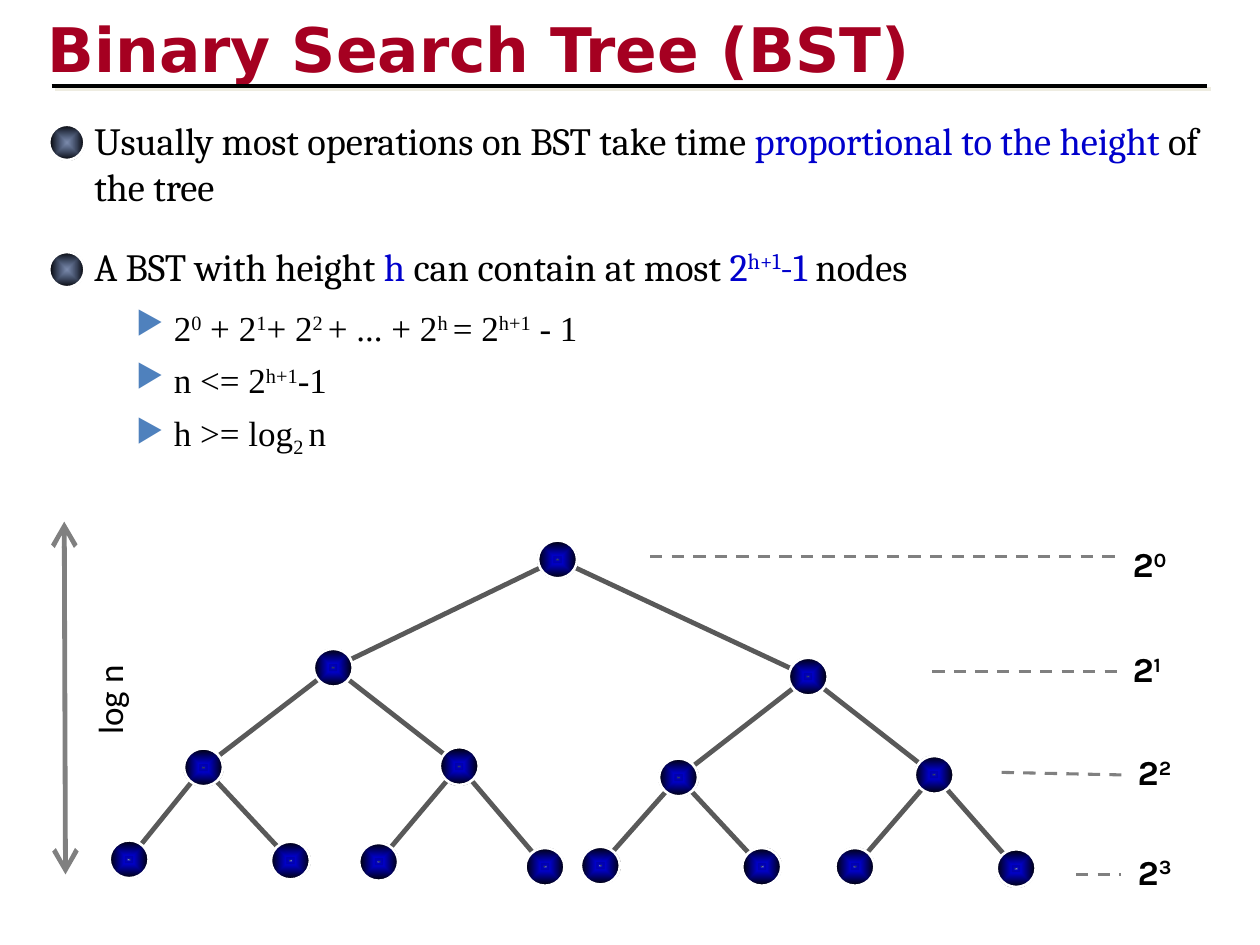
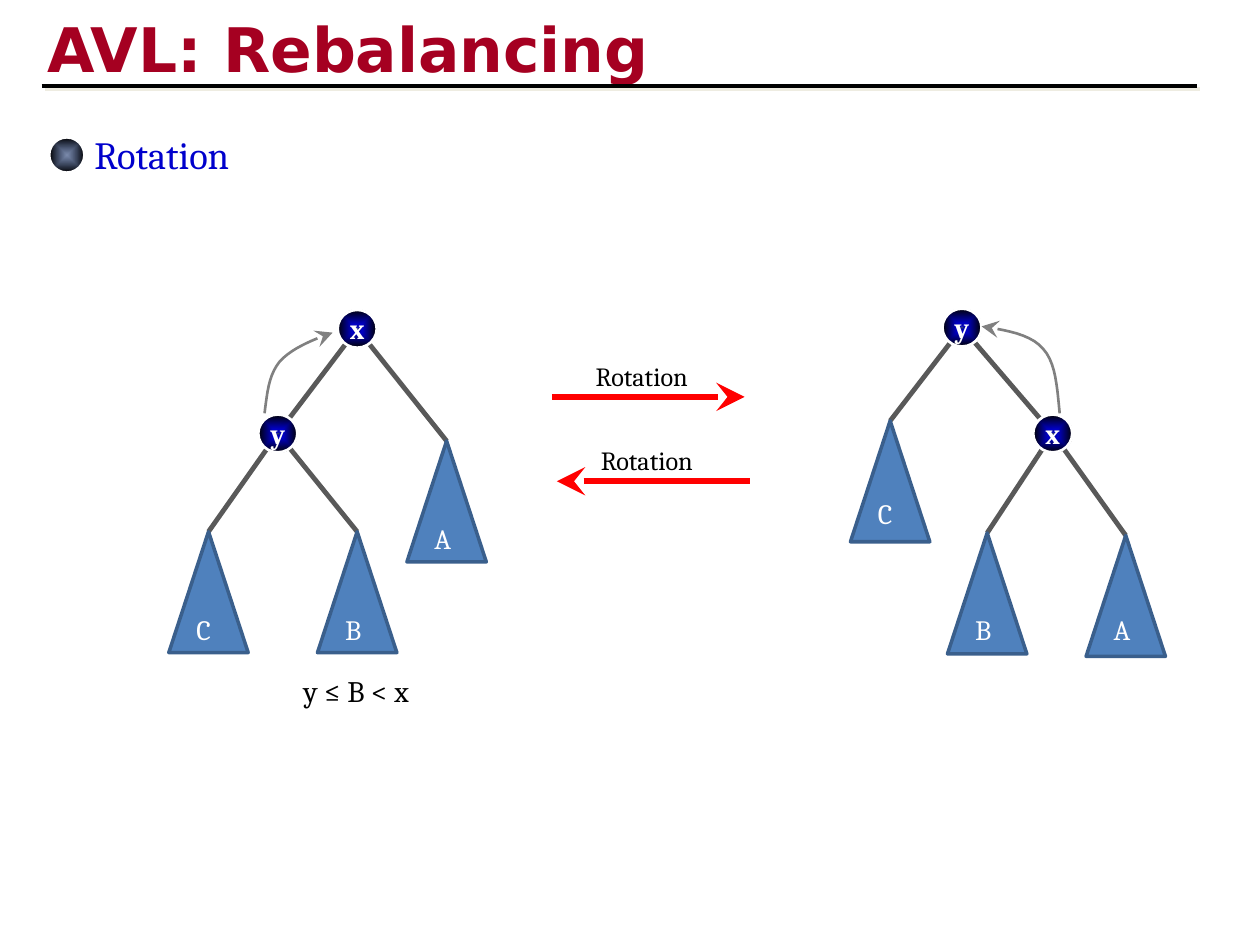
from dataclasses import dataclass
from typing import Optional

from pptx import Presentation
from pptx.dml.color import RGBColor
from pptx.enum.dml import MSO_LINE
from pptx.enum.shapes import MSO_CONNECTOR, MSO_SHAPE
from pptx.enum.text import MSO_ANCHOR, MSO_AUTO_SIZE, PP_ALIGN
from pptx.oxml import parse_xml
from pptx.oxml.ns import nsdecls, qn
from pptx.util import Inches, Pt

BLACK = RGBColor(0x00, 0x00, 0x00)
WHITE = RGBColor(0xFF, 0xFF, 0xFF)
CRIMSON = RGBColor(0xA5, 0x00, 0x21)
BLUE = RGBColor(0x00, 0x00, 0xCC)
NAVY = RGBColor(0x00, 0x20, 0x60)
STEEL = RGBColor(0x4F, 0x81, 0xBD)
STEEL_EDGE = RGBColor(0x3A, 0x5F, 0x8C)
RED = RGBColor(0xFF, 0x00, 0x00)
GRAY = RGBColor(0x80, 0x80, 0x80)
EDGE_GRAY = RGBColor(0x59, 0x59, 0x59)
SHADOW = RGBColor(0xEE, 0xEC, 0xE1)

# Gradient stops: position, colour, opacity in percent
BULLET_STOPS = [(0, NAVY, 51), (100, BLACK, 100)]
NODE_STOPS = [
    (0, BLUE, 100), (0, NAVY, 25), (6, RGBColor(0x00, 0x00, 0xC0), 100),
    (10, RGBColor(0x00, 0x00, 0xB7), 100), (16, RGBColor(0x00, 0x00, 0xAB), 100),
    (21, BLUE, 100), (100, BLACK, 100),
]
NODE_WIDTH, NODE_HEIGHT = 0.31, 0.3
TRIANGLE_WIDTH, TRIANGLE_HEIGHT = 0.63, 0.96

Point = tuple[float, float]


@dataclass
class Piece:
    text: str
    color: Optional[RGBColor] = None
    baseline: int = 0


@dataclass
class TextStyle:
    font: str
    size: float
    color: RGBColor = BLACK
    bold: bool = False


@dataclass
class Node:
    left: float
    top: float
    label: str = ""

    @property
    def anchor(self) -> Point:
        return self.left + NODE_WIDTH / 2, self.top + NODE_HEIGHT / 2


@dataclass
class Subtree:
    left: float
    top: float
    label: str
    label_drop: float = 0.59

    @property
    def anchor(self) -> Point:
        return self.left + TRIANGLE_WIDTH / 2, self.top


@dataclass
class Level:
    start: Point
    end: Point
    label_at: Point


TITLE = TextStyle("DejaVu Sans", 35.1, CRIMSON, True)
BODY = TextStyle("Cambria", 22)
FORMULA = TextStyle("Times New Roman", 20)
LEVEL = TextStyle("Karla", 20, bold=True)
HEIGHT = TextStyle("Calibri", 20)
NODE_LABEL = TextStyle("Cambria", 16, WHITE, True)
SUBTREE_LABEL = TextStyle("Cambria", 16, WHITE)
ARROW_LABEL = TextStyle("Cambria", 15)
CONDITION = TextStyle("Cambria", 17)


def sup(text: str, color: Optional[RGBColor] = None) -> Piece:
    return Piece(text, color, 30)


def effects(shadow: bool = False):
    inner = (f'<a:outerShdw dist="35560" dir="2700000" algn="ctr" rotWithShape="0">'
             f'<a:srgbClr val="{SHADOW}"/></a:outerShdw>') if shadow else ""
    return parse_xml(f'<a:effectLst {nsdecls("a")}>{inner}</a:effectLst>')


def write(paragraph, pieces: list[Piece], style: TextStyle) -> None:
    for piece in pieces:
        run = paragraph.add_run()
        run.text = piece.text
        run.font.name = style.font
        run.font.size = Pt(style.size)
        run.font.bold = style.bold
        run.font.color.rgb = piece.color or style.color
        if piece.baseline:
            run._r.get_or_add_rPr().set("baseline", str(piece.baseline * 1000))


def add_text(slide, left: float, top: float, width: float, height: float,
             lines: list[list[Piece]], style: TextStyle):
    box = slide.shapes.add_textbox(Inches(left), Inches(top), Inches(width), Inches(height))
    frame = box.text_frame
    frame.word_wrap = True
    frame.auto_size = MSO_AUTO_SIZE.SHAPE_TO_FIT_TEXT
    for index, pieces in enumerate(lines):
        paragraph = frame.add_paragraph() if index else frame.paragraphs[0]
        write(paragraph, pieces, style)
    return box


def add_arrowheads(shape, head: str = "", tail: str = "") -> None:
    line = shape.line._get_or_add_ln()
    for tag, kind in (("headEnd", head), ("tailEnd", tail)):
        if kind:
            line.append(parse_xml(f'<a:{tag} {nsdecls("a")} type="{kind}" w="lg" len="lg"/>'))


def add_line(slide, start: Point, end: Point, color: RGBColor, width: float,
             dashed: bool = False, shadow: bool = False, head: str = "", tail: str = "") -> None:
    connector = slide.shapes.add_connector(
        MSO_CONNECTOR.STRAIGHT, *(Inches(value) for value in (*start, *end)))
    connector.line.color.rgb = color
    connector.line.width = Pt(width)
    if dashed:
        connector.line.dash_style = MSO_LINE.DASH
    add_arrowheads(connector, head, tail)
    connector._element.spPr.append(effects(shadow))


def add_ball(slide, left: float, top: float, width: float, height: float, stops: list):
    shape = slide.shapes.add_shape(
        MSO_SHAPE.OVAL, Inches(left), Inches(top), Inches(width), Inches(height))
    stop_xml = "".join(
        f'<a:gs pos="{position * 1000}"><a:srgbClr val="{color}">'
        f'<a:alpha val="{opacity * 1000}"/></a:srgbClr></a:gs>'
        for position, color, opacity in stops)
    gradient = parse_xml(
        f'<a:gradFill {nsdecls("a")} rotWithShape="1"><a:gsLst>{stop_xml}</a:gsLst>'
        '<a:path path="shape"><a:fillToRect l="50000" t="50000" r="50000" b="50000"/>'
        '</a:path></a:gradFill>')
    shape._element.spPr.find(qn("a:prstGeom")).addnext(gradient)
    shape.line.color.rgb = WHITE
    shape.line.width = Pt(1.5)
    shape.shadow.inherit = False
    return shape


def add_node(slide, node: Node) -> None:
    shape = add_ball(slide, node.left, node.top, NODE_WIDTH, NODE_HEIGHT, NODE_STOPS)
    if node.label:
        frame = shape.text_frame
        frame.word_wrap = False
        frame.vertical_anchor = MSO_ANCHOR.MIDDLE
        frame.paragraphs[0].alignment = PP_ALIGN.CENTER
        write(frame.paragraphs[0], [Piece(node.label)], NODE_LABEL)


def add_subtree(slide, subtree: Subtree) -> None:
    shape = slide.shapes.add_shape(
        MSO_SHAPE.ISOSCELES_TRIANGLE, Inches(subtree.left), Inches(subtree.top),
        Inches(TRIANGLE_WIDTH), Inches(TRIANGLE_HEIGHT))
    shape.fill.solid()
    shape.fill.fore_color.rgb = STEEL
    shape.line.color.rgb = STEEL_EDGE
    shape.line.width = Pt(2)
    shape.shadow.inherit = False
    add_text(slide, subtree.left + 0.12, subtree.top + subtree.label_drop, 0.5, 0.37,
             [[Piece(subtree.label)]], SUBTREE_LABEL)


def add_tree(slide, items: list, parents: list[int]) -> None:
    """Draw the edges first, so that nodes and subtrees cover their ends."""
    for item, parent in zip(items[1:], parents):
        add_line(slide, items[parent].anchor, item.anchor, EDGE_GRAY, 2.75)
    for item in items:
        if isinstance(item, Node):
            add_node(slide, item)
        else:
            add_subtree(slide, item)


def add_curve(slide, start: Point, segments: list[tuple[Point, Point, Point]]) -> None:
    steps = 10
    points, current = [], start
    for first, second, end in segments:
        for step in range(1, steps + 1):
            t = step / steps
            weights = ((1 - t) ** 3, 3 * t * (1 - t) ** 2, 3 * t * t * (1 - t), t ** 3)
            corners = (current, first, second, end)
            points.append(tuple(
                Inches(sum(w * corner[axis] for w, corner in zip(weights, corners)))
                for axis in (0, 1)))
        current = end
    builder = slide.shapes.build_freeform(Inches(start[0]), Inches(start[1]))
    builder.add_line_segments(points, close=False)
    shape = builder.convert_to_shape()
    shape.fill.background()
    shape.line.color.rgb = GRAY
    shape.line.width = Pt(1.5)
    shape.shadow.inherit = False
    add_arrowheads(shape, tail="stealth")


def add_header(slide, title: str, rule_left: float) -> None:
    box = add_text(slide, 0.28, 0.01, 8.5, 0.67, [[Piece(title)]], TITLE)
    box.text_frame.auto_size = MSO_AUTO_SIZE.NONE
    box.text_frame.margin_top = Inches(0.08)
    properties = box.text_frame.paragraphs[0].runs[0]._r.rPr
    properties.find(qn("a:solidFill")).addnext(effects(shadow=True))
    add_line(slide, (rule_left, 0.68), (rule_left + 9.17, 0.68), BLACK, 2.25, shadow=True)


def add_point(slide, ball_top: float, text_top: float, height: float,
              pieces: list[Piece]) -> None:
    add_ball(slide, 0.39, ball_top, 0.28, 0.28, BULLET_STOPS)
    add_text(slide, 0.65, text_top, 9.07, height, [pieces], BODY)


def add_formulas(slide) -> None:
    box = add_text(slide, 0.98, 2.38, 8.74, 1.28, [
        [Piece(" 2"), sup("0"), Piece(" + 2"), sup("1"), Piece("+ 2"), sup("2 "),
         Piece("+ ... + 2"), sup("h "), Piece("= 2"), sup("h+1"), Piece(" - 1")],
        [Piece(" n <= 2"), sup("h+1"), Piece("-1")],
        [Piece(" h >= log"), Piece("2 ", baseline=-25), Piece("n")],
    ], FORMULA)
    for paragraph in box.text_frame.paragraphs:
        paragraph.space_before = Pt(6)
        properties = paragraph._p.get_or_add_pPr()
        for bullet in (f'<a:buClr {nsdecls("a")}><a:srgbClr val="{STEEL}"/></a:buClr>',
                       f'<a:buSzPct {nsdecls("a")} val="90000"/>',
                       f'<a:buChar {nsdecls("a")} char="▶"/>'):
            properties.append(parse_xml(bullet))


def build_search_tree(slide) -> None:
    add_header(slide, "Binary Search Tree (BST)", 0.41)
    add_point(slide, 0.99, 0.88, 0.84, [
        Piece("Usually most operations on BST take time "),
        Piece("proportional to the height ", BLUE), Piece("of the tree")])
    add_point(slide, 2, 1.88, 0.47, [
        Piece("A BST with height "), Piece("h", BLUE), Piece(" can contain at most "),
        Piece("2", BLUE), sup("h+1", BLUE), Piece("-1", BLUE), Piece(" nodes")])
    add_formulas(slide)

    # Node count of each level
    levels = [
        Level((5.16, 4.42), (8.9, 4.42), (8.89, 4.26)),
        Level((7.4, 5.33), (8.89, 5.33), (8.89, 5.09)),
        Level((7.95, 6.13), (8.9, 6.15), (8.93, 5.91)),
        Level((8.54, 6.94), (8.9, 6.94), (8.93, 6.7)),
    ]
    for depth, level in enumerate(levels):
        add_line(slide, level.start, level.end, GRAY, 1.75, dashed=True)
        add_text(slide, *level.label_at, 1.07, 0.44, [[Piece("2"), sup(str(depth))]], LEVEL)

    # Height of the tree
    height_label = add_text(slide, 0.42, 5.26, 0.9, 0.44, [[Piece("log n")]], HEIGHT)
    height_label.rotation = 270
    add_line(slide, (0.51, 4.14), (0.52, 6.94), GRAY, 2.75, head="arrow", tail="arrow")

    # Complete tree, level by level: the parent of node i is (i - 1) // 2
    places = [
        (4.27, 4.29),
        (2.49, 5.15), (6.26, 5.22),
        (1.46, 5.94), (3.49, 5.93), (5.23, 6.02), (7.26, 6),
        (0.87, 6.67), (2.15, 6.68), (2.85, 6.69), (4.17, 6.73),
        (4.61, 6.72), (5.89, 6.73), (6.63, 6.73), (7.91, 6.74),
    ]
    nodes = [Node(left, top) for left, top in places]
    add_tree(slide, nodes, [(index - 1) // 2 for index in range(1, len(nodes))])


def build_rotation(slide) -> None:
    add_header(slide, "AVL: Rebalancing", 0.33)
    add_point(slide, 1.09, 0.99, 0.47, [Piece("Rotation", BLUE)])

    # Trees before and after the rotation
    add_tree(slide, [Node(2.68, 2.46, "x"), Node(2.05, 3.29, "y"), Subtree(3.23, 3.5, "A"),
                     Subtree(1.34, 4.22, "C"), Subtree(2.52, 4.22, "B")], [0, 0, 1, 1])
    add_tree(slide, [Node(7.48, 2.45, "y"), Subtree(6.75, 3.34, "C", 0.55),
                     Node(8.2, 3.29, "x"), Subtree(7.52, 4.23, "B", 0.58),
                     Subtree(8.62, 4.25, "A", 0.56)], [0, 0, 2, 2])
    add_text(slide, 2.31, 5.29, 1.28, 0.39, [[Piece("y ≤ B < x")]], CONDITION)

    # Nodes that move up
    add_curve(slide, (2.1, 3.28), [((2.12, 3.13), (2.13, 2.98), (2.22, 2.87)),
                                   ((2.31, 2.77), (2.47, 2.7), (2.64, 2.64))])
    add_curve(slide, (8.41, 3.28), [((8.39, 3.08), (8.38, 2.88), (8.28, 2.77)),
                                    ((8.18, 2.65), (7.98, 2.62), (7.79, 2.59))])

    # Rotation in both directions
    for left, top, head, tail in ((4.38, 3.15, "", "stealth"), (4.42, 3.82, "stealth", "")):
        add_line(slide, (left, top), (left + 1.53, top), RED, 3.25, head=head, tail=tail)
        add_text(slide, left + 0.25, top - 0.34, 1.04, 0.35, [[Piece("Rotation")]], ARROW_LABEL)


def main() -> None:
    presentation = Presentation()
    presentation.slide_width, presentation.slide_height = Inches(10), Inches(7.5)
    for build in (build_search_tree, build_rotation):
        build(presentation.slides.add_slide(presentation.slide_layouts[6]))
    presentation.save("out.pptx")


if __name__ == "__main__":
    main()
